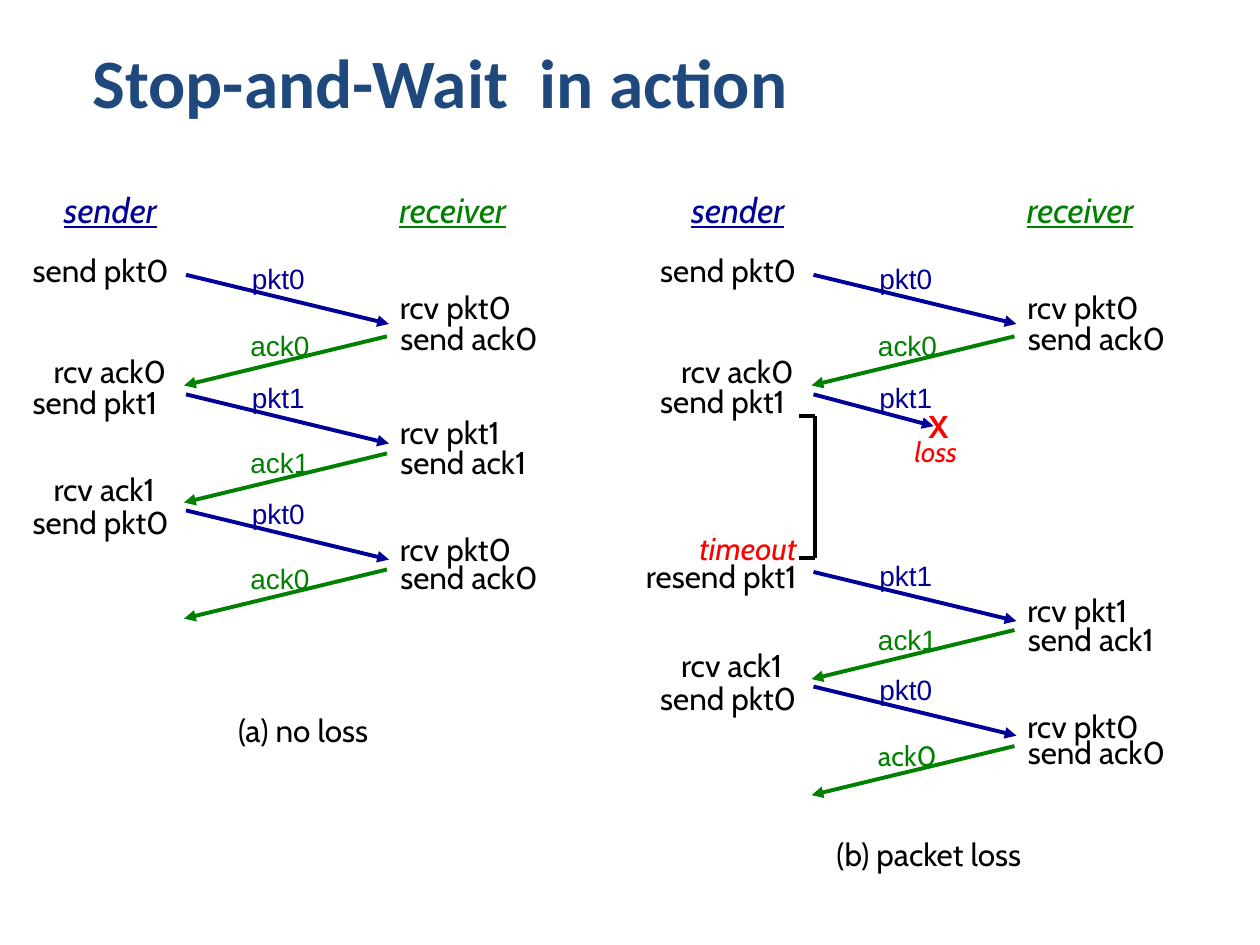
from lxml import etree
from pptx import Presentation
from pptx import util as u
from pptx.dml.color import RGBColor
from pptx.enum import shapes, text
from pptx.oxml import ns

NAVY = RGBColor(0x00, 0x00, 0x99)
GREEN = RGBColor(0x00, 0x80, 0x00)
RED = RGBColor(0xFF, 0x00, 0x00)
BLACK = RGBColor(0x00, 0x00, 0x00)
TITLE_BLUE = RGBColor(0x1F, 0x49, 0x7D)

PANEL_STEP = 12.65
ARROW_RUN = 4.09
ARROW_DROP = 0.99

FIRST_EXCHANGE = ("0", 4.93, 5.54, 5.69, 6.3, 6.78, 6.98)
NO_LOSS = [
    FIRST_EXCHANGE,
    ("1", 7.59, 7.95, 8.2, 8.81, 9.14, 9.35),
    ("0", 10.01, 10.29, 10.57, 11.13, 11.48, None),
]
PACKET_LOSS = [
    FIRST_EXCHANGE,
    ("1", None, 11.53, 11.79, 12.37, 12.7, 12.9),
    ("0", 13.56, 13.84, 14.12, 14.66, 15.04, None),
]


class Diagram:
    font = "Cabin"
    label_font = "Arial"
    line_width = u.Pt(2.25)

    def __init__(self, slide):
        self.slide = slide
        self.left = 0

    def text(self, lines, x, y, width, height=1.02, size=18, color=BLACK,
             font=font, wrap=False, **styles):
        box = self.slide.shapes.add_textbox(
            u.Cm(self.left + x), u.Cm(y), u.Cm(width), u.Cm(height))
        frame = box.text_frame
        frame.text = lines
        frame.word_wrap = wrap
        frame.auto_size = text.MSO_AUTO_SIZE.SHAPE_TO_FIT_TEXT
        for paragraph in frame.paragraphs:
            for run in paragraph.runs:
                run.font.name = font
                run.font.size = u.Pt(size)
                run.font.color.rgb = color
                for style, value in styles.items():
                    setattr(run.font, style, value)
        return frame

    def line(self, x1, y1, x2, y2, color=BLACK, arrow=False):
        connector = self.slide.shapes.add_connector(
            shapes.MSO_CONNECTOR.STRAIGHT,
            u.Cm(self.left + x1), u.Cm(y1), u.Cm(self.left + x2), u.Cm(y2))
        connector.line.color.rgb = color
        connector.line.width = self.line_width
        if arrow:
            etree.SubElement(connector.line._get_or_add_ln(),
                             ns.qn("a:tailEnd"), type="triangle")
        etree.SubElement(connector._element.spPr, ns.qn("a:effectLst"))

    def label(self, words, x, y, width, color, font=label_font, wrap=False):
        self.text(words, x, y, width, 0.94, 16, color, font, wrap)

    def packet(self, number, y, run=ARROW_RUN, drop=ARROW_DROP):
        self.line(3.75, y, 3.75 + run, y + drop, NAVY, arrow=True)
        self.label(f"pkt{number}", 4.83, y - 0.4, 1.57, NAVY)

    def acknowledgement(self, number, y, **style):
        self.line(7.8, y, 7.8 - ARROW_RUN, y + ARROW_DROP, GREEN, arrow=True)
        self.label(f"ack{number}", 4.8, y - 0.28, 1.7, GREEN, **style)

    def send_packet(self, number, y):
        self.text(f"send pkt{number}", 0.41, y, 3.25)

    def exchange(self, number, send, packet, receive, reply, ack, confirm, **style):
        if send is not None:
            self.send_packet(number, send)
        self.packet(number, packet)
        self.text(f"rcv pkt{number}", 7.81, receive, 2.77)
        self.text(f"send ack{number}", 7.82, reply, 3.33)
        self.acknowledgement(number, ack, **style)
        if confirm is not None:
            self.text(f"rcv ack{number}", 0.83, confirm, 2.84)

    def panel(self, index, exchanges, **last_style):
        self.left = index * PANEL_STEP
        heading = dict(height=1.09, size=20, italic=True, underline=True)
        self.text("sender", 1.04, 3.68, 2.59, color=NAVY, **heading)
        self.text("receiver", 7.8, 3.68, 2.97, color=GREEN, **heading)
        for entry in exchanges[:-1]:
            self.exchange(*entry)
        self.exchange(*exchanges[-1], **last_style)

    def lost_packet(self):
        self.send_packet("1", 7.57)
        self.packet("1", 7.95, run=2.42, drop=0.64)
        self.text("X", 5.82, 8.08, 0.94, color=RED, bold=True)
        self.text("loss", 5.54, 8.64, 1.45, 0.94, 16, RED, italic=True)

    def timeout(self):
        top, bottom, right = 8.38, 11.25, 3.78
        self.line(right, top, right, bottom)
        for y in (top, bottom):
            self.line(right, y, right - 0.33, y)
        frame = self.text("timeout\nresend pkt1", -0.18, 10.72, 3.84, 1.4)
        for paragraph in frame.paragraphs:
            paragraph.alignment = text.PP_ALIGN.RIGHT
            paragraph.line_spacing = 0.75
        timeout_font = frame.paragraphs[0].runs[0].font
        timeout_font.color.rgb = RED
        timeout_font.italic = True

    def title(self, words):
        frame = self.text(words, 1.04, 0.71, 15.67, 1.83, 39.6, TITLE_BLUE,
                          "Calibri", wrap=True, bold=True)
        frame.auto_size = text.MSO_AUTO_SIZE.NONE
        frame.vertical_anchor = text.MSO_ANCHOR.MIDDLE
        frame.paragraphs[0].alignment = text.PP_ALIGN.CENTER


def main():
    presentation = Presentation()
    presentation.slide_width = u.Cm(25.4)
    presentation.slide_height = u.Cm(19.05)
    diagram = Diagram(presentation.slides.add_slide(presentation.slide_layouts[6]))
    diagram.title("Stop-and-Wait  in action")
    diagram.panel(0, NO_LOSS)
    diagram.text("(a) no loss", 4.55, 14.2, 3.48)
    diagram.panel(1, PACKET_LOSS, font=Diagram.font, wrap=True)
    diagram.lost_packet()
    diagram.timeout()
    diagram.text("(b) packet loss", 3.96, 16.71, 4.65)
    presentation.save("out.pptx")


if __name__ == "__main__":
    main()
